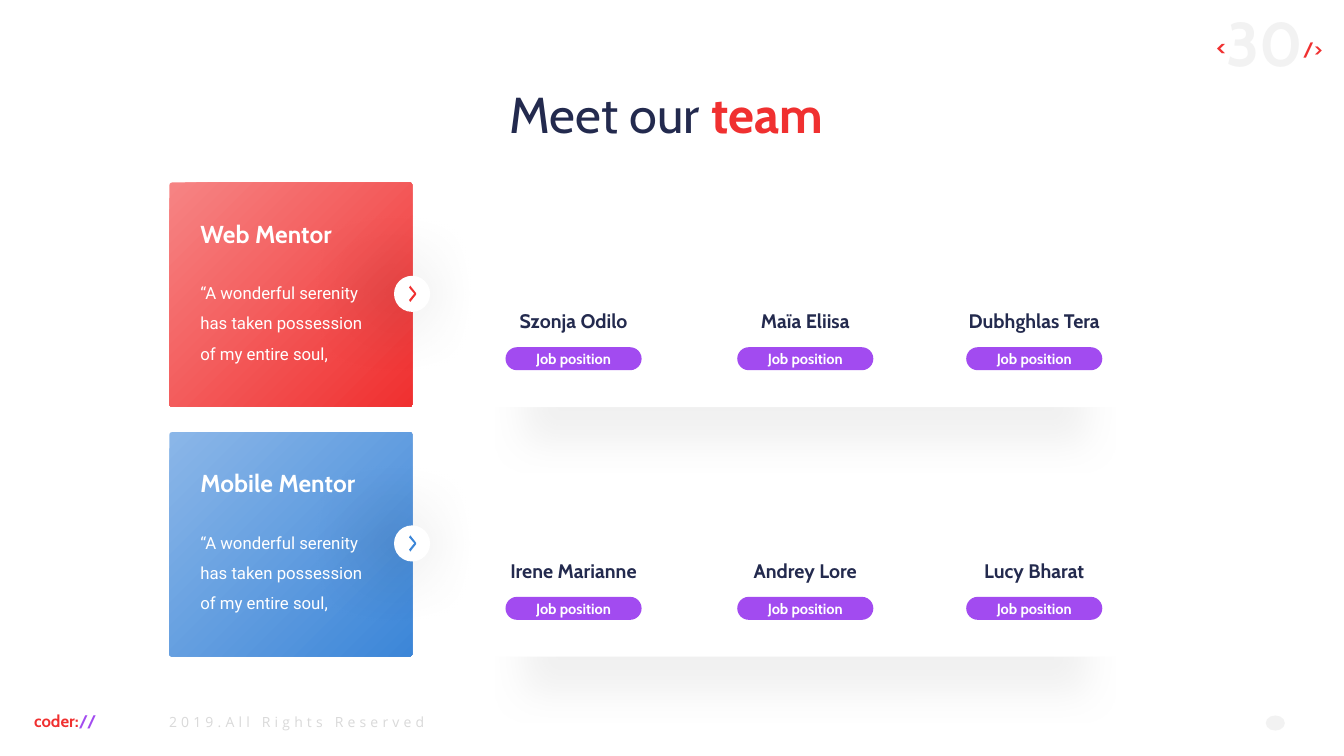
from dataclasses import dataclass
from typing import NamedTuple

from lxml.etree import SubElement
from pptx import Presentation
from pptx.dml.color import RGBColor
from pptx.enum.shapes import MSO_SHAPE as Shp
from pptx.enum.text import MSO_ANCHOR as Anchor, MSO_AUTO_SIZE as Fit, PP_ALIGN as Align
from pptx.oxml.ns import qn
from pptx.util import Cm, Pt

RED, BLUE, PURPLE, NAVY = "F03030", "3C86D8", "A24BF0", "232A4E"
WHITE, PALE, GREY = "FFFFFF", "F2F2F2", "D9D9D9"
ROW_PITCH = 6.29
MEMBER_LEFTS = (12.22, 18.06, 23.83)
CHEVRON = ((0, 5), (13, 20), (0, 36), (3, 41), (18, 22), (18, 19), (3, 0))
QUOTE = "“A wonderful serenity has taken possession of my entire soul,"


class Box(NamedTuple):
    left: float
    top: float
    width: float
    height: float

    def cm(self) -> list:
        return [Cm(v) for v in self]


class Shadow(NamedTuple):
    color: str
    alpha: int
    blur: int
    dist: int
    angle: int
    scale: int = 100
    align: str = "ctr"


@dataclass
class Run:
    text: str
    size: float
    color: str
    bold: bool = False
    font: str = "Cabin"
    raised: int = 0
    spacing: int = 0


@dataclass
class Team:
    mentor: str
    color: str
    tint: str
    members: tuple


PANEL_SHADOW = Shadow("BFBFBF", 22, 27, 64, 90, 76, "t")
BUTTON_SHADOW = Shadow("000000", 40, 55, 13, 180)
TEAMS = (
    Team("Web Mentor", RED, "F68383", ("Szonja Odilo", "Maïa Eliisa", "Dubhghlas Tera")),
    Team("Mobile Mentor", BLUE, "8AB6E8", ("Irene Marianne", "Andrey Lore", "Lucy Bharat")),
)


def rgb(color: str) -> RGBColor:
    return RGBColor.from_string(color)


def write(tf, runs: list, align=Align.LEFT, **para) -> None:
    p = tf.paragraphs[0]
    for key, value in {"alignment": align, **para}.items():
        setattr(p, key, value)
    for item in runs:
        r = p.add_run()
        r.text = item.text
        fmt = {"name": item.font, "size": Pt(item.size), "bold": item.bold}
        for key, value in fmt.items():
            setattr(r.font, key, value)
        r.font.color.rgb = rgb(item.color)
        for key, value in {"baseline": item.raised * 1000, "spc": item.spacing * 100}.items():
            if value:
                r.font._element.set(key, str(value))


def add_text(s, box: Box, runs: list, align=Align.LEFT, anchor=Anchor.TOP, wrap=True, **para) -> None:
    tf = s.shapes.add_textbox(*box.cm()).text_frame
    fmt = {"word_wrap": wrap, "auto_size": Fit.SHAPE_TO_FIT_TEXT, "vertical_anchor": anchor}
    for key, value in fmt.items():
        setattr(tf, key, value)
    write(tf, runs, align, **para)


def paint(sp, color: str) -> None:
    sp.shadow.inherit = False
    sp.line.fill.background()
    sp.fill.solid()
    sp.fill.fore_color.rgb = rgb(color)


def add_shape(s, kind, box: Box, color: str, radius: float = 0):
    sp = s.shapes.add_shape(kind, *box.cm())
    if radius:
        sp.adjustments[0] = radius
    paint(sp, color)
    return sp


def cast_shadow(sp, shadow: Shadow) -> None:
    effects = sp._element.spPr.find(qn("a:effectLst"))
    scale = str(shadow.scale * 1000)
    outer = SubElement(effects, qn("a:outerShdw"), {
        "blurRad": str(Pt(shadow.blur)), "dist": str(Pt(shadow.dist)),
        "dir": str(shadow.angle * 60000), "sx": scale, "sy": scale,
        "algn": shadow.align, "rotWithShape": "0"})
    tone = SubElement(outer, qn("a:srgbClr"), val=shadow.color)
    SubElement(tone, qn("a:alpha"), val=str(shadow.alpha * 1000))


def radiate(sp, inner: str, outer: str) -> None:
    sp.fill.gradient()
    for stop, color, position in zip(sp.fill.gradient_stops, (inner, outer), (0, 0.99)):
        stop.color.rgb = rgb(color)
        stop.position = position
    grad = sp._element.spPr.find(qn("a:gradFill"))
    grad.remove(grad.find(qn("a:lin")))
    circle = SubElement(grad, qn("a:path"), {"path": "circle"})
    SubElement(circle, qn("a:fillToRect"), l="100000", t="100000")


def add_panel(s, dy: float) -> None:
    panel = add_shape(s, Shp.ROUNDED_RECTANGLE, Box(10.97, 4.6 + dy, 18.64, 5.66), WHITE, 0.044)
    cast_shadow(panel, PANEL_SHADOW)


def add_member(s, name: str, left: float, dy: float) -> None:
    add_text(s, Box(left, 7.67 + dy, 4.47, 0.84), [Run(name, 14, NAVY, True)], Align.CENTER)
    pill = add_shape(s, Shp.ROUNDED_RECTANGLE, Box(left + 0.52, 8.75 + dy, 3.43, 0.58), PURPLE, 0.5)
    pill.text_frame.vertical_anchor = Anchor.MIDDLE
    write(pill.text_frame, [Run("Job position", 10.5, WHITE, True)], Align.CENTER)


def add_mentor(s, team: Team, dy: float) -> None:
    card = add_shape(s, Shp.ROUNDED_RECTANGLE, Box(4.27, 4.6 + dy, 6.12, 5.65), team.color, 0.012)
    radiate(card, team.color, team.tint)
    button = add_shape(s, Shp.OVAL, Box(9.93, 6.95 + dy, 0.91, 0.91), WHITE)
    cast_shadow(button, BUTTON_SHADOW)
    outline = s.shapes.build_freeform(*CHEVRON[0], scale=Cm(0.01))
    outline.add_line_segments(CHEVRON[1:], close=True)
    paint(outline.convert_to_shape(Cm(10.31), Cm(7.2 + dy)), team.color)
    add_text(s, Box(4.8, 5.53 + dy, 5.13, 0.86), [Run(team.mentor, 17.5, WHITE, True)],
             line_spacing=0.8)
    add_text(s, Box(4.8, 6.75 + dy, 4.93, 2.46), [Run(QUOTE, 12, WHITE, font="Roboto")],
             line_spacing=1.5)


def add_frame(s) -> None:
    add_text(s, Box(27.1, 0, 6.48, 2.13),
             [Run("<", 28, RED, True, raised=30), Run("30", 44, PALE, True),
              Run("/>", 24, RED, True, raised=30)], Align.RIGHT, Anchor.MIDDLE)
    add_text(s, Box(4.01, 17.86, 7.01, 0.69),
             [Run("2019.All Rights Reserved", 10, GREY, font="Open Sans", spacing=3)], wrap=False)
    add_text(s, Box(0.61, 17.78, 2.16, 0.76),
             [Run("coder:", 12, RED, True), Run("//", 12, PURPLE, True)], wrap=False)
    add_shape(s, Shp.OVAL, Box(31.9, 18.03, 0.48, 0.38), PALE)


def main() -> None:
    prs = Presentation()
    prs.slide_width, prs.slide_height = Cm(33.87), Cm(19.05)
    s = prs.slides.add_slide(prs.slide_layouts[6])
    add_frame(s)
    rows = [(team, i * ROW_PITCH) for i, team in enumerate(TEAMS)]
    for _, dy in reversed(rows):
        add_panel(s, dy)
    for team, dy in rows:
        for name, left in zip(team.members, MEMBER_LEFTS):
            add_member(s, name, left, dy)
    for team, dy in rows:
        add_mentor(s, team, dy)
    add_text(s, Box(6.25, 1.98, 21.36, 1.8),
             [Run("Meet our ", 36, NAVY), Run("team ", 36, RED, True)], Align.CENTER)
    prs.save("out.pptx")


if __name__ == "__main__":
    main()
